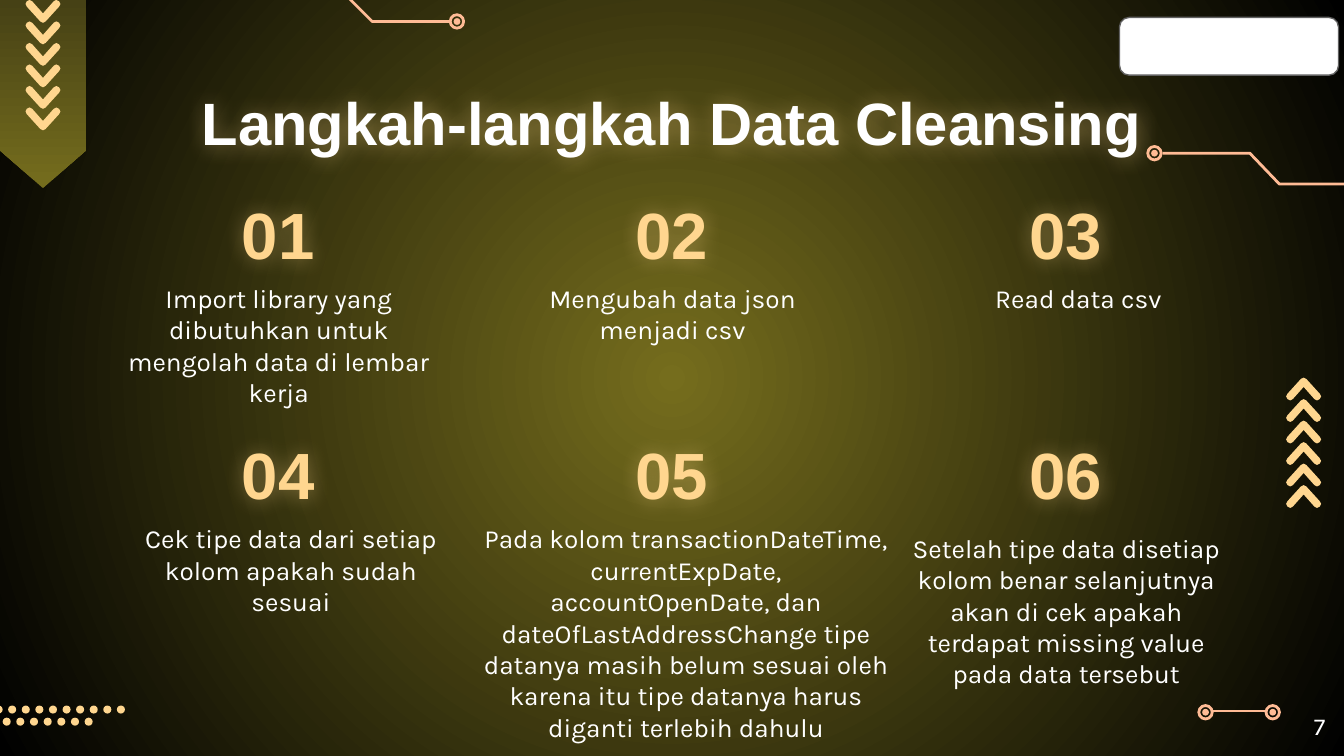
from lxml.etree import SubElement
from pptx import Presentation
from pptx.dml.color import RGBColor
from pptx.enum.shapes import MSO_CONNECTOR, MSO_SHAPE
from pptx.enum.text import MSO_ANCHOR, PP_ALIGN
from pptx.oxml import parse_xml
from pptx.oxml.ns import nsdecls, qn
from pptx.util import Inches, Pt

OLIVE, DARK_OLIVE, BLACK, WHITE = "756D1D", "464115", "000000", "FFFFFF"
SAND, CORAL, GREY = "FFD68F", "FFBB95", "606060"


def paint(shape, fill=None, line=None, width=1.5):
    shape.shadow.inherit = False
    if fill:
        shape.fill.solid()
        shape.fill.fore_color.rgb = RGBColor.from_string(fill)
    else:
        shape.fill.background()
    if line:
        shape.line.color.rgb = RGBColor.from_string(line)
        shape.line.width = Pt(width)
    else:
        shape.line.fill.background()


def add_text(place, text, size, font="Karla", color=WHITE, align=PP_ALIGN.CENTER, heading=False):
    box = slide.shapes.add_textbox(*map(Inches, place))
    frame = box.text_frame
    frame.word_wrap = True
    frame.margin_left = frame.margin_right = Inches(0.1)
    frame.margin_top = frame.margin_bottom = Inches(0.1)
    para = frame.paragraphs[0]
    para.alignment = align
    span = para.add_run()
    span.text = text
    span.font.size = Pt(size)
    span.font.name = font
    span.font.bold = heading
    span.font.color.rgb = RGBColor.from_string(color)
    if heading:
        frame.vertical_anchor = MSO_ANCHOR.MIDDLE
        box.fill.background()
        box.line.fill.background()
        box.element.spPr.append(parse_xml(
            f'<a:effectLst {nsdecls("a")}><a:outerShdw blurRad="142875" algn="bl" rotWithShape="0">'
            f'<a:srgbClr val="{SAND}"><a:alpha val="40000"/></a:srgbClr></a:outerShdw></a:effectLst>'))


deck = Presentation()
deck.slide_width = Inches(10)
deck.slide_height = Inches(10) * 9 // 16
slide = deck.slides.add_slide(deck.slide_layouts[6])

backdrop = slide.background.fill
backdrop.gradient()
for stop, color in zip(backdrop.gradient_stops, (OLIVE, BLACK)):
    stop.color.rgb = RGBColor.from_string(color)
gradient = slide.element.find(".//" + qn("a:gradFill"))
gradient.remove(gradient.find(qn("a:lin")))
radial = SubElement(gradient, qn("a:path"), {"path": "circle"})
SubElement(radial, qn("a:fillToRect"), {side: "50000" for side in "ltrb"})

label = slide.shapes.add_shape(
    MSO_SHAPE.ROUNDED_RECTANGLE, Inches(8.33), Inches(0.13), Inches(1.63), Inches(0.43))
paint(label, WHITE, GREY, 0.75)

banner = slide.shapes.add_shape(
    MSO_SHAPE.FLOWCHART_OFFPAGE_CONNECTOR, 0, 0, Inches(0.64), Inches(1.4))
paint(banner)
banner.fill.gradient()
banner.fill.gradient_angle = 90
for stop, color in zip(banner.fill.gradient_stops, (OLIVE, DARK_OLIVE)):
    stop.color.rgb = RGBColor.from_string(color)

chevron = [(-0.13, 0.03), (-0.12, 0.01), (-0.1, 0), (-0.08, 0.01), (0, 0.1), (0.08, 0.01), (0.1, 0),
           (0.12, 0.01), (0.13, 0.03), (0.12, 0.05), (0.02, 0.16), (0, 0.17), (-0.02, 0.16), (-0.12, 0.05)]
for center, top, direction in ((0.32, 0, 1), (9.7, 2.98, -1)):
    for step in range(6):
        points = [(Inches(center + x), Inches(top + 0.16 * step + direction * y)) for x, y in chevron]
        builder = slide.shapes.build_freeform(*points[0])
        builder.add_line_segments(points[1:], close=True)
        paint(builder.convert_to_shape(), SAND)

for first, last, top, count in ((0.02, 0.63, 5.34, 7), (-0.04, 0.87, 5.25, 10)):
    for step in range(count):
        left = first + (last - first) * step / (count - 1)
        dot = slide.shapes.add_shape(
            MSO_SHAPE.OVAL, Inches(left), Inches(top), Inches(0.06), Inches(0.06))
        paint(dot, SAND)

for trace in ([(1.89, -0.07), (2.54, -0.07), (2.77, 0.16), (3.35, 0.16)],
              [(8.65, 1.14), (9.3, 1.14), (9.52, 1.37), (10.11, 1.37)]):
    points = [(Inches(x), Inches(y)) for x, y in trace]
    builder = slide.shapes.build_freeform(*points[0])
    builder.add_line_segments(points[1:], close=False)
    paint(builder.convert_to_shape(), line=CORAL)

link = slide.shapes.add_connector(
    MSO_CONNECTOR.STRAIGHT, Inches(9.02), Inches(5.29), Inches(9.42), Inches(5.29))
link.line.color.rgb = RGBColor.from_string(CORAL)
link.line.width = Pt(1.5)
SubElement(link.element.spPr, qn("a:effectLst"))

for x, y in ((3.4, 0.16), (8.59, 1.14), (8.97, 5.3), (9.47, 5.3)):
    for size, fill, line in ((0.1, None, CORAL), (0.05, CORAL, None)):
        ring = slide.shapes.add_shape(
            MSO_SHAPE.OVAL, Inches(x - size / 2), Inches(y - size / 2), Inches(size), Inches(size))
        paint(ring, fill, line)

add_text((0.78, 0.59, 8.44, 0.63), "Langkah-langkah Data Cleansing", 32, "Arial", heading=True)
add_text((9.36, 5.19, 0.6, 0.43), "7", 13, align=PP_ALIGN.RIGHT)

steps = [
    (0.76, 2, 2.63, "Import library yang dibutuhkan untuk mengolah data di lembar kerja"),
    (3.69, 2, 2.63, "Mengubah data json menjadi csv"),
    (6.71, 2, 2.63, "Read data csv"),
    (0.85, 3.79, 2.63, "Cek tipe data dari setiap kolom apakah sudah sesuai"),
    (3.48, 3.79, 3.25, "Pada kolom transactionDateTime, currentExpDate, accountOpenDate, dan "
     "dateOfLastAddressChange tipe datanya masih belum sesuai oleh karena itu tipe datanya "
     "harus diganti terlebih dahulu"),
    (6.62, 3.86, 2.63, "Setelah tipe data disetiap kolom benar selanjutnya akan di cek apakah "
     "terdapat missing value pada data tersebut"),
]
for index, (left, top, width, text) in enumerate(steps):
    row, column = divmod(index, 3)
    add_text((0.86 + 2.93 * column, 1.47 + 1.79 * row, 2.42, 0.53),
             f"{index + 1:02}", 35, "Arial", SAND, heading=True)
    add_text((left, top, width, 1.18), text, 14)

deck.save("out.pptx")
